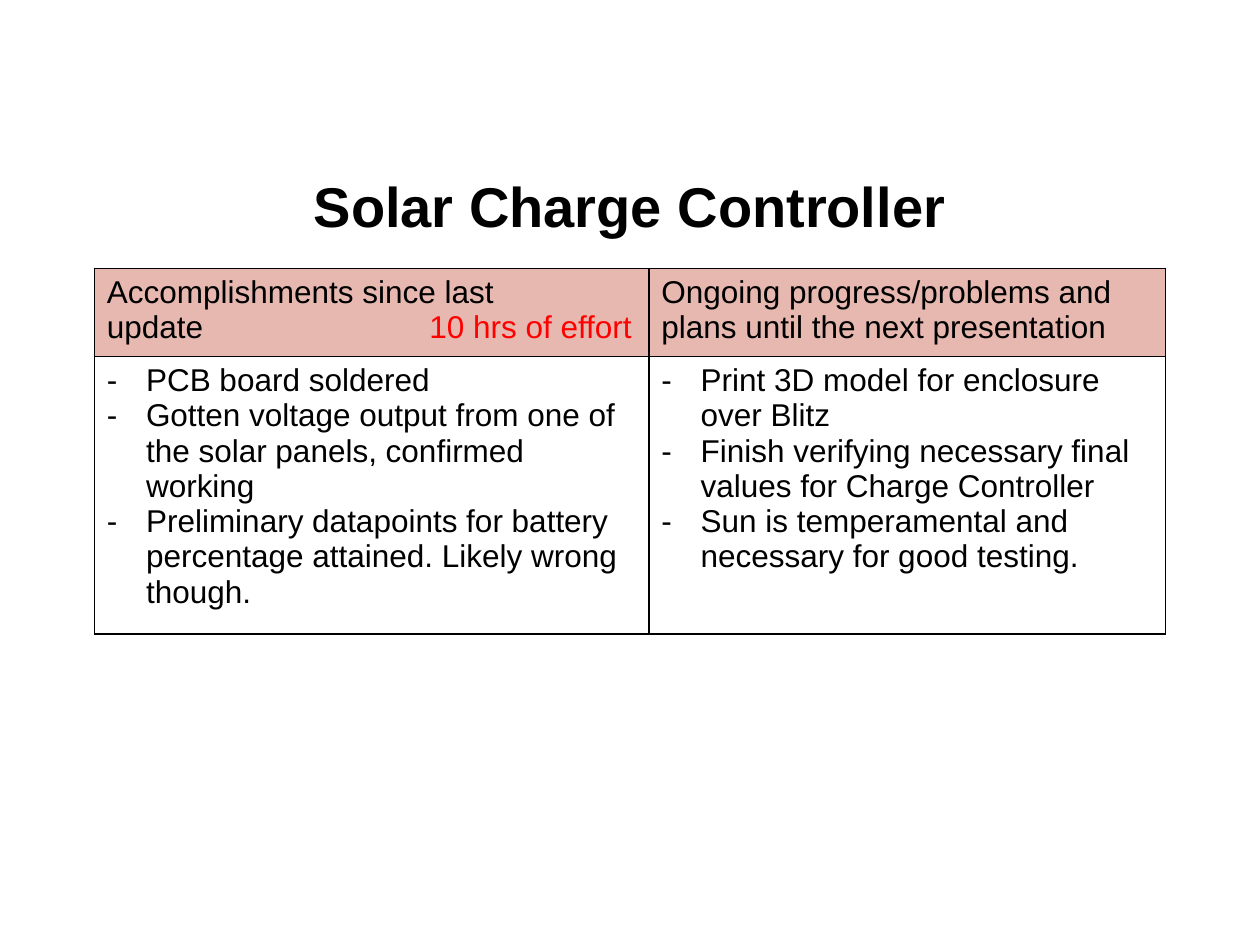
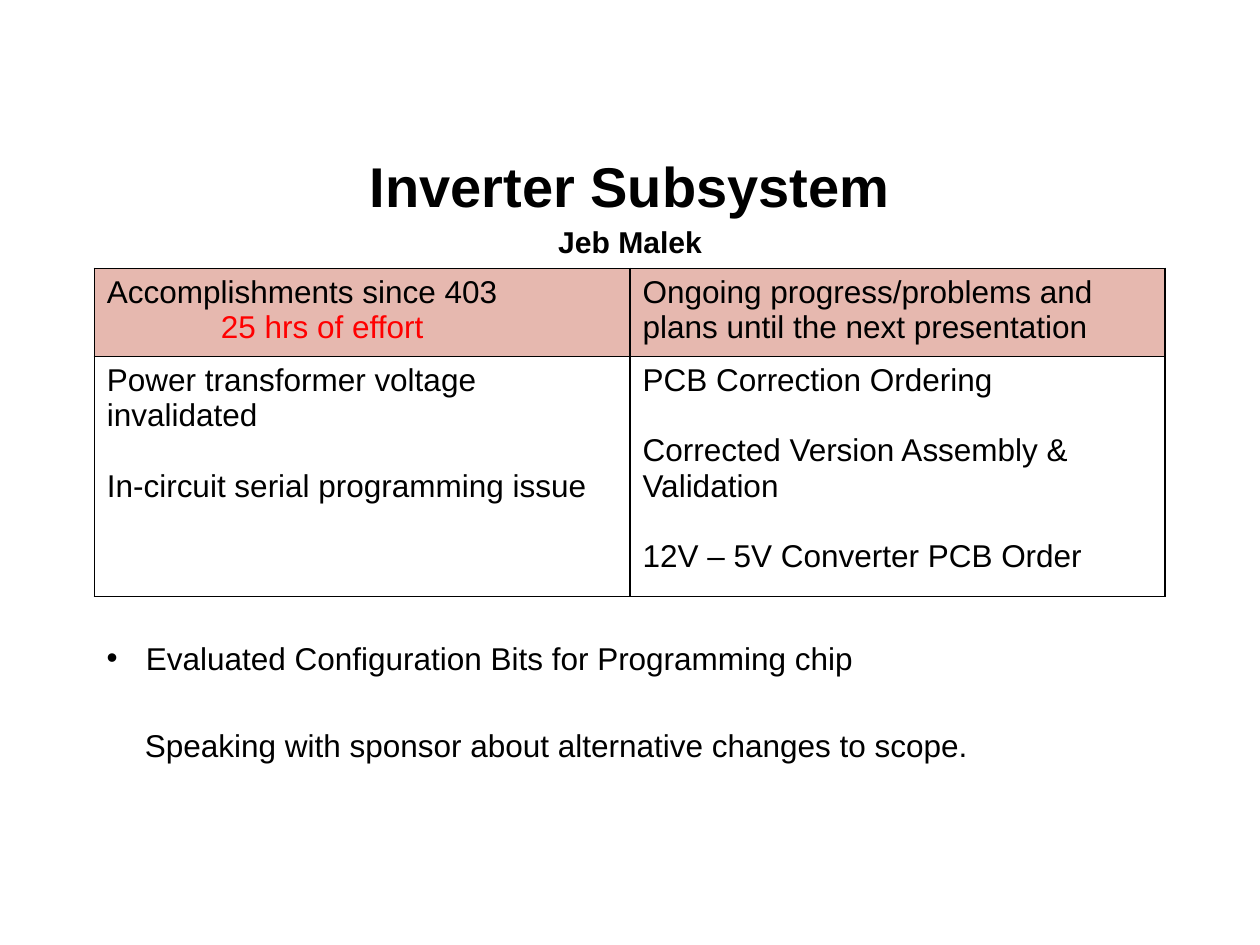
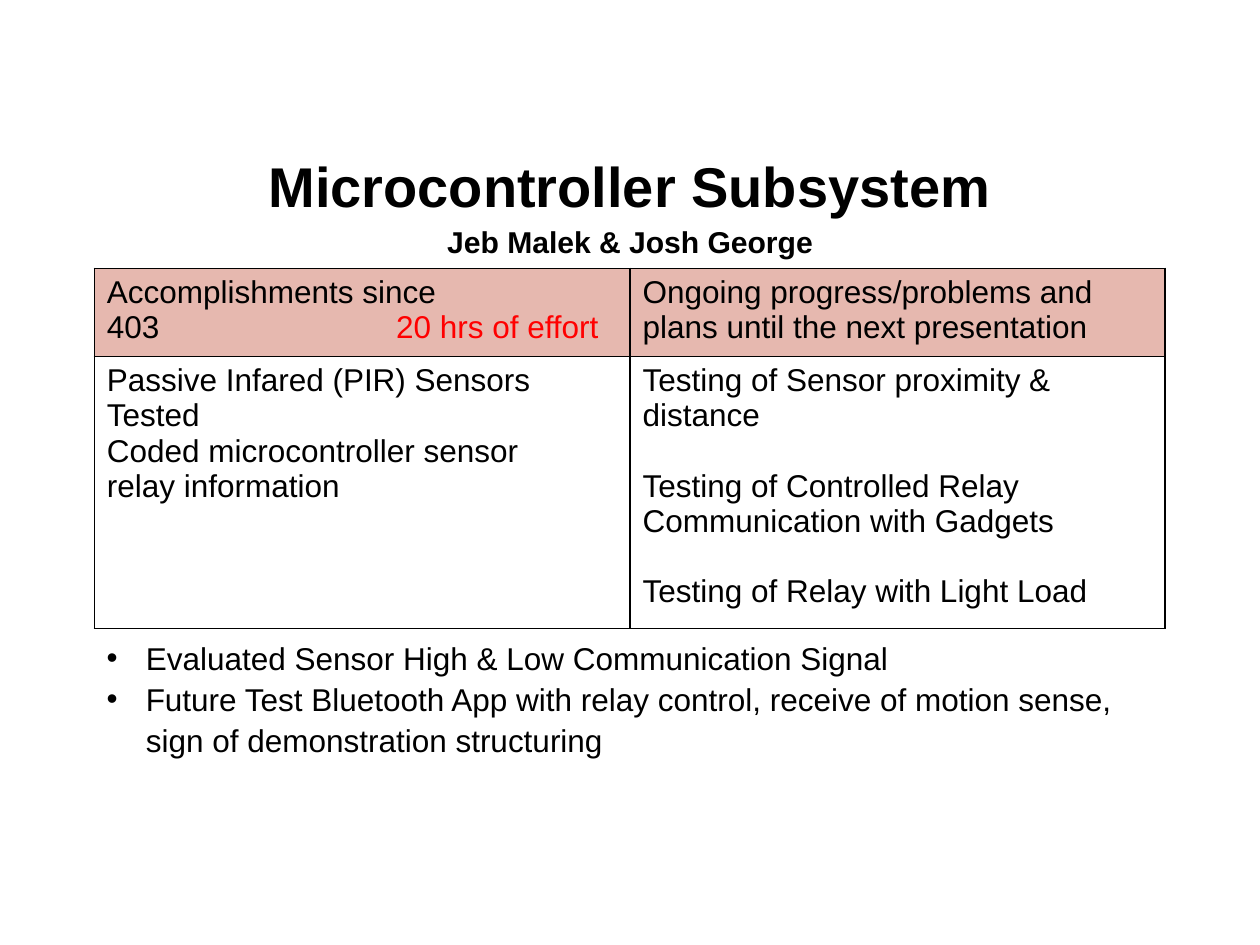
from lxml import etree
from pptx import Presentation, util as u
from pptx.dml.color import RGBColor
from pptx.enum import text
from pptx.oxml.ns import qn

COLORS = {"ink": "000000", "effort": "FF0000", "header": "E6B8AF"}
BODY = {"name": "Arial", "size": u.Pt(18), "bold": False}
TITLE = {"name": "Arial", "size": u.Pt(32), "bold": True}
AUTHOR = {"name": "Arial", "size": u.Pt(17.2), "bold": True}
CENTERED = {"alignment": text.PP_ALIGN.CENTER, "line_spacing": 1.15}
NOTE = {"line_spacing": 1.08}
INDENT = u.Cm(0.79)
LEFT, TABLE_TOP, TABLE_WIDTH = 1.9, 5.41, 21.59
HEADER_HEIGHT = 1.78
PLANS_HEADER = "Ongoing progress/problems and plans until the next presentation"

SLIDES = [
    {
        "title": "Solar Charge Controller",
        "author": None,
        "header": "Accomplishments since last\nupdate\t",
        "effort": "10 hrs of effort",
        "effort_tab": 6.5,
        "first_column": 11.18,
        "body_height": 5.23,
        "bullet": "-",
        "done": [
            "PCB board soldered",
            "Gotten voltage output from one of the solar panels, confirmed working",
            "Preliminary datapoints for battery percentage attained. Likely wrong though.",
        ],
        "plans": [
            "Print 3D model for enclosure over Blitz",
            "Finish verifying necessary final values for Charge Controller",
            "Sun is temperamental and necessary for good testing.",
        ],
        "gaps": (0, 0),
        "notes": [],
    },
    {
        "title": "Inverter Subsystem",
        "author": "Jeb Malek",
        "header": "Accomplishments since 403\n\t",
        "effort": "25 hrs of effort",
        "effort_tab": 2.3,
        "first_column": 10.8,
        "body_height": 4.83,
        "bullet": None,
        "done": [
            "Power transformer voltage invalidated",
            "In-circuit serial programming issue",
        ],
        "plans": [
            "PCB Correction Ordering",
            "Corrected Version Assembly & Validation",
            "12V – 5V Converter PCB Order",
        ],
        "gaps": (20, 20),
        "notes": [
            (LEFT, 12.7, 1.02, "•", ["Evaluated Configuration Bits for Programming chip"]),
            (2.67, 14.45, 1.02, None,
             ["Speaking with sponsor about alternative changes to scope."]),
        ],
    },
    {
        "title": "Microcontroller Subsystem",
        "author": "Jeb Malek & Josh George",
        "header": "Accomplishments since\n403\t",
        "effort": "20 hrs of effort",
        "effort_tab": 5.83,
        "first_column": 10.8,
        "body_height": 5.23,
        "bullet": None,
        "done": [
            "Passive Infared (PIR) Sensors Tested",
            "Coded microcontroller sensor\nrelay information",
        ],
        "plans": [
            "Testing of Sensor proximity & distance",
            "Testing of Controlled Relay Communication with Gadgets",
            "Testing of Relay with Light Load",
        ],
        "gaps": (0, 20),
        "notes": [
            (LEFT, 12.7, 3.33, "•", [
                "Evaluated Sensor High & Low Communication Signal",
                "Future Test Bluetooth App with relay control, receive of motion sense, "
                "sign of demonstration structuring",
            ]),
        ],
    },
]


def add_span(para, words, font=BODY, color="ink"):
    for number, line in enumerate(words.split("\n")):
        if number:
            para.add_line_break()
        span = para.add_run()
        span.text = line
        for key, value in font.items():
            setattr(span.font, key, value)
        span.font.color.rgb = RGBColor.from_string(COLORS[color])


def add_paras(frame, lines, bullet=None, gap=0, layout={}):
    for number, line in enumerate(lines):
        para = frame.add_paragraph() if number else frame.paragraphs[0]
        if bullet:
            props = para._p.get_or_add_pPr()
            props.set("marL", str(INDENT))
            props.set("indent", str(-INDENT))
            etree.SubElement(props, qn("a:buFont"), typeface="Arial")
            etree.SubElement(props, qn("a:buChar"), char=bullet)
        for key, value in layout.items():
            setattr(para, key, value)
        if number and gap:
            para.space_before = u.Pt(gap)
        add_span(para, line)


deck = Presentation()
deck.slide_width, deck.slide_height = u.Cm(25.4), u.Cm(19.05)

for content in SLIDES:
    page = deck.slides.add_slide(deck.slide_layouts[6])

    box = page.shapes.add_textbox(u.Cm(1.27), u.Cm(2.92), u.Cm(22.86), u.Cm(2.24))
    frame = box.text_frame
    frame.word_wrap = True
    frame.vertical_anchor = text.MSO_ANCHOR.MIDDLE
    headings = [(content["title"], TITLE)]
    if content["author"]:
        headings.append((content["author"], AUTHOR))
    for number, (words, font) in enumerate(headings):
        para = frame.add_paragraph() if number else frame.paragraphs[0]
        for key, value in CENTERED.items():
            setattr(para, key, value)
        add_span(para, words, font)

    table = page.shapes.add_table(
        2, 2, u.Cm(LEFT), u.Cm(TABLE_TOP), u.Cm(TABLE_WIDTH),
        u.Cm(HEADER_HEIGHT + content["body_height"])).table
    table.first_row = table.horz_banding = False
    table.columns[0].width = u.Cm(content["first_column"])
    table.columns[1].width = u.Cm(TABLE_WIDTH - content["first_column"])
    table.rows[0].height = u.Cm(HEADER_HEIGHT)
    table.rows[1].height = u.Cm(content["body_height"])

    para = table.cell(0, 0).text_frame.paragraphs[0]
    tabs = etree.SubElement(para._p.get_or_add_pPr(), qn("a:tabLst"))
    etree.SubElement(tabs, qn("a:tab"), pos=str(u.Cm(content["effort_tab"])), algn="l")
    add_span(para, content["header"])
    add_span(para, content["effort"], color="effort")
    add_span(table.cell(0, 1).text_frame.paragraphs[0], PLANS_HEADER)
    for column, (key, gap) in enumerate(zip(("done", "plans"), content["gaps"])):
        add_paras(table.cell(1, column).text_frame, content[key], content["bullet"], gap)

    for row in range(2):
        for column in range(2):
            cell = table.cell(row, column)
            if row == 0:
                cell.fill.solid()
                cell.fill.fore_color.rgb = RGBColor.from_string(COLORS["header"])
            else:
                cell.fill.background()
            props = cell._tc.get_or_add_tcPr()
            for position, side in enumerate(("lnL", "lnR", "lnT", "lnB")):
                line = etree.Element(qn("a:" + side), w=str(u.Pt(1)))
                paint = etree.SubElement(line, qn("a:solidFill"))
                etree.SubElement(paint, qn("a:srgbClr"), val=COLORS["ink"])
                props.insert(position, line)

    for left, top, height, bullet, lines in content["notes"]:
        width = LEFT + TABLE_WIDTH - left
        box = page.shapes.add_textbox(u.Cm(left), u.Cm(top), u.Cm(width), u.Cm(height))
        box.text_frame.word_wrap = True
        add_paras(box.text_frame, lines, bullet, layout=NOTE)

deck.save("out.pptx")
